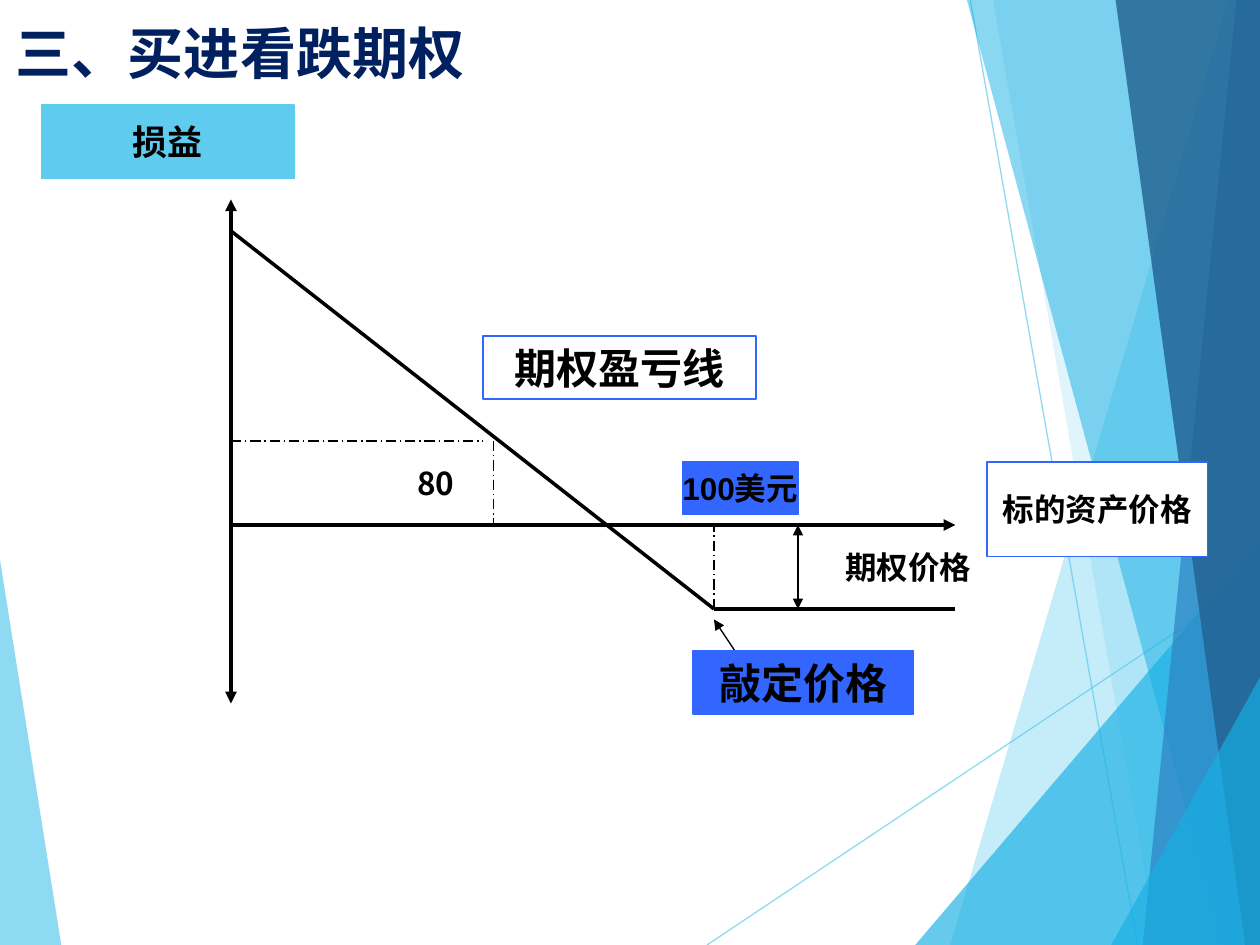
from lxml.etree import SubElement
from pptx import Presentation
from pptx.dml.color import RGBColor
from pptx.enum.dml import MSO_LINE
from pptx.enum.shapes import MSO_CONNECTOR, MSO_SHAPE
from pptx.enum.text import MSO_ANCHOR, PP_ALIGN
from pptx.oxml.ns import qn
from pptx.util import Pt

WIDTH, HEIGHT = 720, 540
CJK = "Noto Sans CJK SC"
SKY, AZURE, BLUE, BLACK, WHITE = "5FCBEF", "17B0E4", "3366FF", "000000", "FFFFFF"

LEFT_FACET = ([(0, 320), (35, HEIGHT), (0, HEIGHT)], SKY, 70)
RAYS = [((404, HEIGHT), (WIDTH, 329)), ((554.5, 0), (650, HEIGHT))]
RIGHT_FACETS = [
    ([(702, 0), (543, HEIGHT)], SKY, 36),
    ([(567.5, 0), (661.5, HEIGHT)], SKY, 20),
    ([(523, HEIGHT), (WIDTH, 309)], AZURE, 66),
    ([(552.5, 0), (698.5, HEIGHT)], AZURE, 50),
    ([(706.5, 0), (653, HEIGHT)], "2E83C3", 70),
    ([(637.5, 0), (711.5, HEIGHT)], "236292", 82),
    ([(635, HEIGHT), (WIDTH, 387)], AZURE, 66),
]

AXIS_X, AXIS_Y, AXIS_END = 132, 300, 546
STRIKE_X, LOSS_Y = 408, 348
SPOT_X, GAIN_Y = 282, 252
PREMIUM_X = 456

LINES = [
    ((AXIS_X, 114), (AXIS_X, 402), dict(width=2.25, head=True, tail=True)),
    ((AXIS_X, AXIS_Y), (AXIS_END, AXIS_Y), dict(width=2.25, tail=True)),
    ((AXIS_X, 132), (STRIKE_X, LOSS_Y), dict(width=2)),
    ((STRIKE_X, LOSS_Y), (AXIS_END, LOSS_Y), dict(width=2)),
    ((AXIS_X, GAIN_Y), (276, GAIN_Y), dict(dashed=True)),
    ((SPOT_X, GAIN_Y), (SPOT_X, AXIS_Y), dict(dashed=True)),
    ((STRIKE_X, LOSS_Y), (STRIKE_X, AXIS_Y), dict(dashed=True)),
    ((PREMIUM_X, AXIS_Y), (PREMIUM_X, LOSS_Y), dict(head=True, tail=True)),
    ((420, 372), (STRIKE_X, 354), dict(tail=True)),
]

LABELS = [
    ("80", (228, 264, 42, 24), WHITE, WHITE, dict(size=18, font=CJK)),
    ("损益", (24, 60, 144, 42), SKY, SKY, dict(size=20)),
    ("期权盈亏线", (276, 192, 156, 36), WHITE, BLUE, dict(size=24)),
    ("100美元", (390, 264, 66, 30), BLUE, BLUE, dict(size=18)),
    ("期权价格", (468, 312, 102, 24), WHITE, WHITE, dict(size=18)),
    ("标的资产价格", (564, 264, 126, 54), WHITE, BLUE, dict(size=18)),
    ("敲定价格", (396, 372, 126, 36), BLUE, BLUE, dict(size=24)),
]


def rgb(value):
    """Turn a hex string into a colour."""
    return RGBColor.from_string(value)


def set_alpha(holder, percent):
    """Make the solid colours inside an element partly transparent."""
    for colour in holder.iter(qn("a:srgbClr")):
        SubElement(colour, qn("a:alpha"), val=str(percent * 1000))


def write(shape, text, size, font="Arial", colour=BLACK, align=PP_ALIGN.CENTER, wrap=False):
    """Put one formatted bold line into a shape."""
    frame = shape.text_frame
    frame.word_wrap = wrap
    frame.vertical_anchor = MSO_ANCHOR.MIDDLE
    paragraph = frame.paragraphs[0]
    paragraph.alignment = align
    run = paragraph.add_run()
    run.text = text
    run.font.size = Pt(size)
    run.font.bold = True
    run.font.name = font
    run.font.color.rgb = rgb(colour)
    SubElement(run.font._element, qn("a:ea"), typeface=CJK)


def add_line(slide, start, end, width=0.75, colour=BLACK, alpha=100, dashed=False, head=False, tail=False):
    """Draw a straight line with optional dashes and arrowheads."""
    points = [Pt(value) for value in (*start, *end)]
    connector = slide.shapes.add_connector(MSO_CONNECTOR.STRAIGHT, *points)
    connector.line.width = Pt(width)
    connector.line.color.rgb = rgb(colour)
    if dashed:
        connector.line.dash_style = MSO_LINE.LONG_DASH_DOT
    properties = connector._element.spPr
    stroke = properties.find(qn("a:ln"))
    if alpha < 100:
        set_alpha(stroke, alpha)
    for tag, wanted in (("a:headEnd", head), ("a:tailEnd", tail)):
        if wanted:
            SubElement(stroke, qn(tag), type="triangle")
    SubElement(properties, qn("a:effectLst"))


def add_facet(slide, corners, colour, alpha):
    """Draw a transparent background polygon."""
    points = [(Pt(x), Pt(y)) for x, y in corners]
    builder = slide.shapes.build_freeform(*points[0])
    builder.add_line_segments(points[1:], close=True)
    facet = builder.convert_to_shape()
    facet.shadow.inherit = False
    facet.fill.solid()
    facet.fill.fore_color.rgb = rgb(colour)
    facet.line.fill.background()
    set_alpha(facet._element.spPr, alpha)


def add_label(slide, text, box, fill, border, style):
    """Draw a bordered rectangle holding a label."""
    label = slide.shapes.add_shape(MSO_SHAPE.RECTANGLE, *map(Pt, box))
    label.shadow.inherit = False
    label.fill.solid()
    label.fill.fore_color.rgb = rgb(fill)
    label.line.color.rgb = rgb(border)
    label.line.width = Pt(0.75)
    write(label, text, **style)


def main():
    """Build the slide and save it."""
    deck = Presentation()
    deck.slide_width, deck.slide_height = Pt(WIDTH), Pt(HEIGHT)
    slide = deck.slides.add_slide(deck.slide_layouts[6])

    add_facet(slide, *LEFT_FACET)
    for start, end in RAYS:
        add_line(slide, start, end, colour=SKY, alpha=70)
    for edge, colour, alpha in RIGHT_FACETS:
        right_side = [(WIDTH, y) for x, y in reversed(edge) if x < WIDTH]
        if len(right_side) == 1:
            right_side = [(WIDTH, HEIGHT)]
        add_facet(slide, edge + right_side, colour, alpha)

    title = slide.shapes.add_textbox(Pt(2), Pt(8.5), Pt(500), Pt(42))
    write(title, "三、买进看跌期权", size=32, font=CJK, colour="002060", align=PP_ALIGN.LEFT, wrap=True)
    for start, end, style in LINES:
        add_line(slide, start, end, **style)
    for label in LABELS:
        add_label(slide, *label)
    deck.save("out.pptx")


if __name__ == "__main__":
    main()
